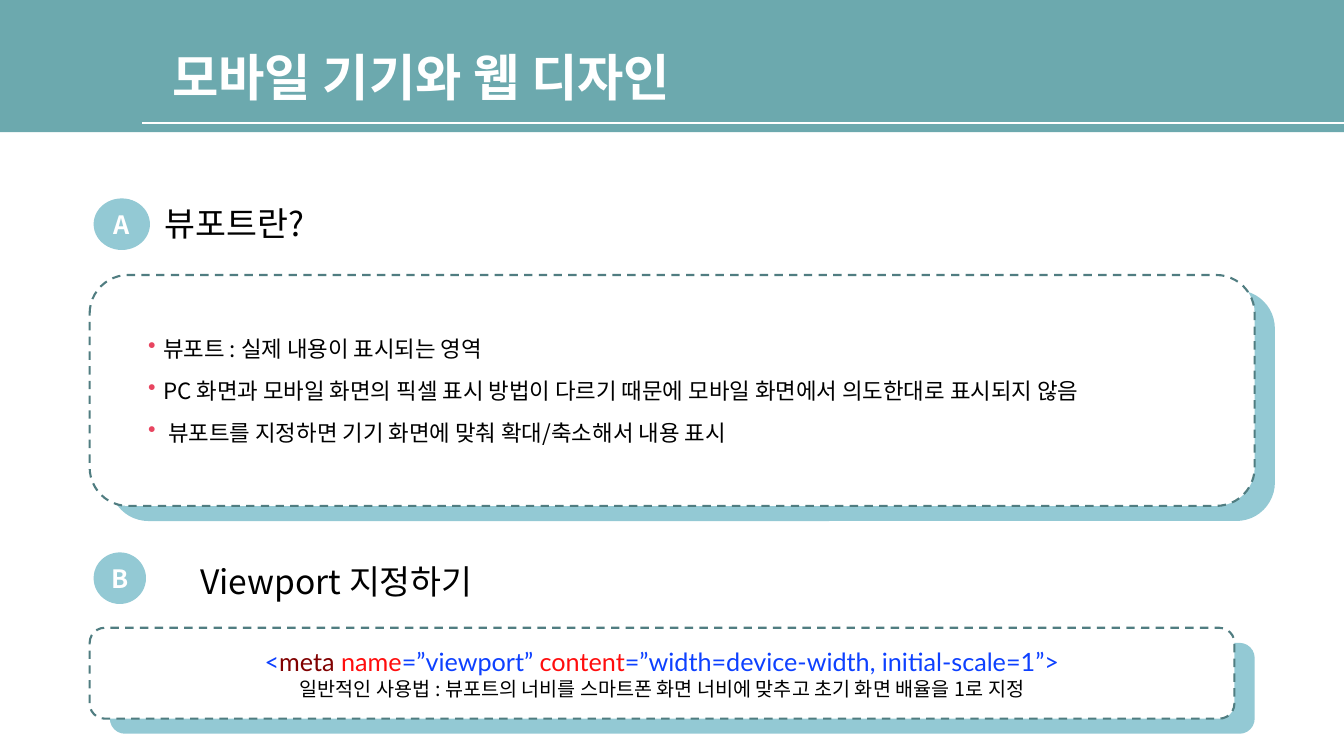
from pptx import Presentation
from pptx.dml.color import RGBColor
from pptx.enum.dml import MSO_LINE
from pptx.enum.shapes import MSO_CONNECTOR, MSO_SHAPE
from pptx.enum.text import MSO_ANCHOR, PP_ALIGN
from pptx.oxml.ns import qn
from pptx.util import Cm, Pt
from lxml.etree import SubElement

KOREAN, LATIN = "Noto Sans CJK KR", "Lato"
TEAL, SKY, EDGE, ROSE = "6CA9AE", "93C9D4", "507D81", "E84560"
WHITE, BLACK = "FFFFFF", "000000"
BLUE, MAROON, RED = "0D40FF", "800000", "FF0D0D"
WIDTH, HEIGHT = 33.87, 19.05


def color(value):
    return RGBColor.from_string(value)


def add_span(para, text, size, value, font=KOREAN, bold=False):
    span = para.add_run()
    span.text = text
    span.font.size = Pt(size)
    span.font.name = font
    span.font.bold = bold
    span.font.color.rgb = color(value)
    SubElement(span.font._element, qn("a:ea"), typeface=font)


def add_block(page, kind, left, top, width, height, fill):
    block = page.shapes.add_shape(kind, Cm(left), Cm(top), Cm(width), Cm(height))
    block.shadow.inherit = False
    block.fill.solid()
    block.fill.fore_color.rgb = color(fill)
    block.line.fill.background()
    return block


def add_label(page, left, top, width, height, text, size, value, bold=False):
    label = page.shapes.add_textbox(Cm(left), Cm(top), Cm(width), Cm(height))
    label.text_frame.word_wrap = True
    add_span(label.text_frame.paragraphs[0], text, size, value, bold=bold)


def add_header(page, left, top, width, height, title):
    add_block(page, MSO_SHAPE.RECTANGLE, left, top, width, height, TEAL)
    rule_top = Cm(top + height - 0.23)
    rule = page.shapes.add_connector(
        MSO_CONNECTOR.STRAIGHT, Cm(left + 3.58), rule_top, Cm(left + width), rule_top)
    rule.line.color.rgb = color(WHITE)
    rule.line.width = Pt(1.25)
    SubElement(rule._element.spPr, qn("a:effectLst"))
    add_label(page, left + 4.09, top + 1.04, 20, 1.8, title, 36, WHITE, bold=True)


def add_heading(page, left, top, badge_width, letter, text_left, text_top, text):
    badge = add_block(page, MSO_SHAPE.OVAL, left, top, badge_width, 1.3, SKY)
    frame = badge.text_frame
    frame.margin_left = frame.margin_right = 0
    frame.vertical_anchor = MSO_ANCHOR.MIDDLE
    para = frame.paragraphs[0]
    para.alignment = PP_ALIGN.CENTER
    add_span(para, letter, 18, WHITE, bold=True)
    add_label(page, left + text_left, top + text_top, 10, 1.27, text, 24, BLACK)


def add_card(page, left, top, width, height):
    add_block(page, MSO_SHAPE.ROUNDED_RECTANGLE,
              left + 0.51, top + 0.38, width, height, SKY)
    card = add_block(page, MSO_SHAPE.ROUNDED_RECTANGLE, left, top, width, height, WHITE)
    card.line.color.rgb = color(EDGE)
    card.line.width = Pt(1.5)
    card.line.dash_style = MSO_LINE.DASH
    card.text_frame.word_wrap = True
    card.text_frame.vertical_anchor = MSO_ANCHOR.MIDDLE
    return card.text_frame


def add_bullet_card(page, left, top, width, height, points):
    frame = add_card(page, left, top, width, height)
    for index, point in enumerate(points):
        para = frame.add_paragraph() if index else frame.paragraphs[0]
        para.alignment = PP_ALIGN.LEFT
        para.space_before = Pt(11)
        props = para._p.get_or_add_pPr()
        props.set("marL", str(Cm(1.32)))
        props.set("indent", str(Cm(-0.38)))
        tint = SubElement(props, qn("a:buClr"))
        SubElement(tint, qn("a:srgbClr"), val=ROSE)
        SubElement(props, qn("a:buChar"), char="•")
        add_span(para, point, 16, BLACK)


def add_code_card(page, left, top, width, height, code, note):
    frame = add_card(page, left, top, width, height)
    para = frame.paragraphs[0]
    para.alignment = PP_ALIGN.CENTER
    for text, value in code:
        add_span(para, text, 18, value, LATIN)
    para = frame.add_paragraph()
    para.alignment = PP_ALIGN.CENTER
    add_span(para, note, 14, BLACK)


def main():
    deck = Presentation()
    deck.slide_width, deck.slide_height = Cm(WIDTH), Cm(HEIGHT)
    page = deck.slides.add_slide(deck.slide_layouts[6])
    add_header(page, 0, 0, WIDTH, 3.33, "모바일 기기와 웹 디자인")
    add_heading(page, 2.36, 5, 1.42, "A", 1.54, 0, "뷰포트란?")
    add_bullet_card(page, 2.26, 6.93, 29.36, 5.82, [
        "뷰포트 : 실제 내용이 표시되는 영역",
        "PC 화면과 모바일 화면의 픽셀 표시 방법이 다르기 때문에 모바일 화면에서 의도한대로 표시되지 않음",
        " 뷰포트를 지정하면 기기 화면에 맞춰 확대/축소해서 내용 표시",
    ])
    add_heading(page, 2.36, 13.92, 1.32, "B", 2.44, 0.08, "Viewport 지정하기")
    add_code_card(page, 2.26, 15.82, 28.85, 2.29, [
        ("<", BLUE),
        ("meta ", MAROON),
        ("name", RED),
        ("=”viewport” ", BLUE),
        ("content", RED),
        ("=”width=device-width, initial-scale=1”>", BLUE),
    ], "일반적인 사용법 : 뷰포트의 너비를 스마트폰 화면 너비에 맞추고 초기 화면 배율을 1로 지정")
    deck.save("out.pptx")


if __name__ == "__main__":
    main()
